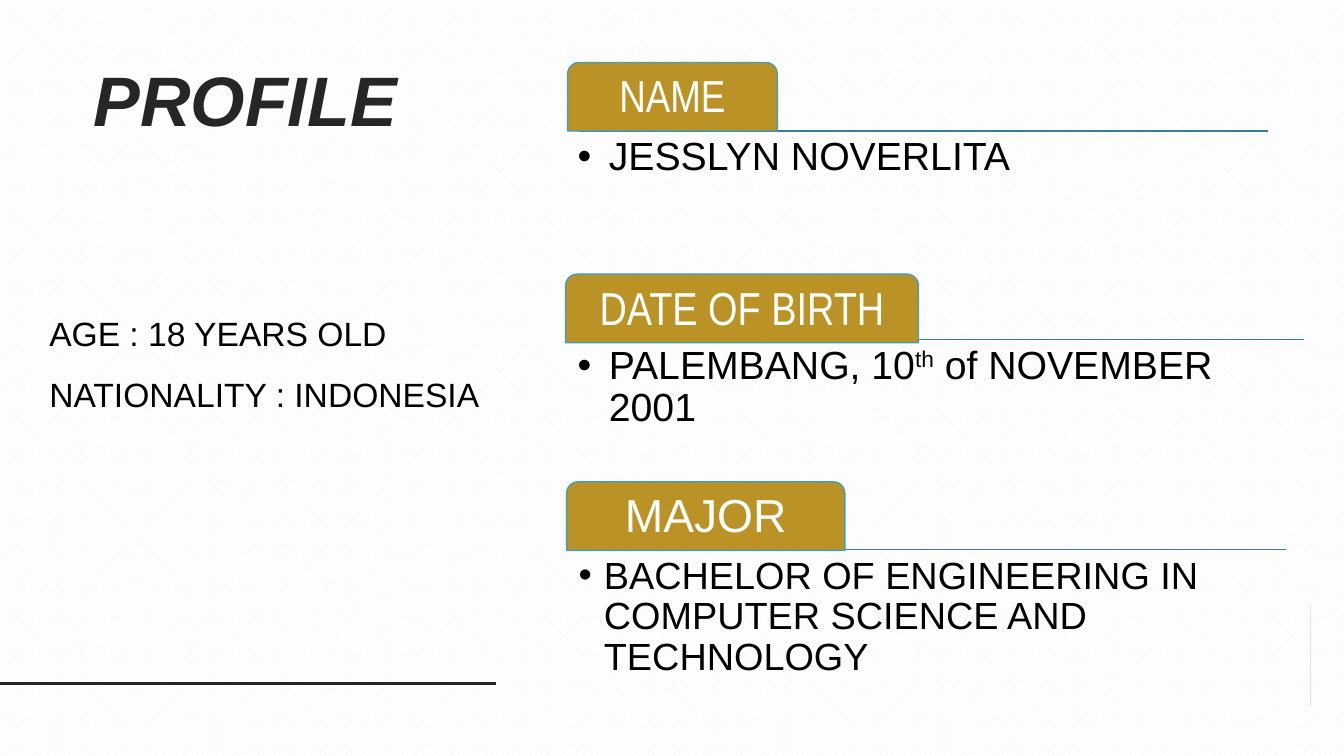
from math import cos, pi, sin
from pptx import Presentation
from pptx.dml.color import RGBColor
from pptx.enum.dml import MSO_PATTERN
from pptx.enum.shapes import MSO_CONNECTOR, MSO_SHAPE
from pptx.enum.text import MSO_ANCHOR, PP_ALIGN
from pptx.oxml.ns import qn
from pptx.util import Inches, Pt
from lxml.etree import SubElement

INK = {"dark": "262626", "gold": "BA9225", "edge": "439EB7", "rule": "367F93",
       "white": "FFFFFF", "black": "000000", "dots": "F5F5F5"}


def tint(name):
    return RGBColor.from_string(INK[name])


def write(frame, text, size=28, font="Arial", color="black", bold=False, space=0.9,
          align=PP_ALIGN.LEFT, anchor=MSO_ANCHOR.TOP, pad=(0.1, 0.05), indent=0):
    frame.word_wrap = True
    frame.vertical_anchor = anchor
    frame.margin_left = frame.margin_right = Inches(pad[0])
    frame.margin_top = frame.margin_bottom = Inches(pad[1])
    for i, line in enumerate(text.split("\n")):
        para = frame.paragraphs[0] if i == 0 else frame.add_paragraph()
        para.alignment = align
        para.line_spacing = space
        if indent:
            props = para._p.get_or_add_pPr()
            props.set("marL", str(Inches(indent)))
            props.set("indent", str(-Inches(indent)))
            SubElement(props, qn("a:buFont")).set("typeface", "Arial")
            SubElement(props, qn("a:buChar")).set("char", "•")
        for j, part in enumerate(line.split("^")):
            run = para.add_run()
            run.text = part
            run.font.size = Pt(size)
            run.font.name = font
            run.font.bold = run.font.italic = bold
            run.font.color.rgb = tint(color)
            if j % 2:
                run.font._element.set("baseline", "30000")


def rule(left, right, y, color, width):
    line = shapes.add_connector(MSO_CONNECTOR.STRAIGHT, Inches(left), Inches(y),
                                Inches(right), Inches(y))
    line.line.color.rgb = tint(color)
    line.line.width = Pt(width)
    SubElement(line._element.spPr, qn("a:effectLst"))


deck = Presentation()
deck.slide_width = Inches(13.33)
deck.slide_height = Inches(7.5)
slide = deck.slides.add_slide(deck.slide_layouts[6])
shapes = slide.shapes

back = slide.background.fill
back.patterned()
back.pattern = MSO_PATTERN.SOLID_DIAMOND
back.fore_color.rgb = tint("dots")
back.back_color.rgb = tint("white")

arc = [(13.33 - 0.45 * sin(pi * i / 48), 6.33 - 0.45 * cos(pi * i / 48)) for i in range(49)]
pen = shapes.build_freeform(*arc[0], scale=Inches(1))
pen.add_line_segments(arc[1:], close=True)
disc = pen.convert_to_shape()
disc.shadow.inherit = False
disc.fill.solid()
disc.fill.fore_color.rgb = tint("dark")
disc.line.fill.background()

rule(0, 4.92, 6.78, "dark", 2)

title = shapes.add_textbox(Inches(0.83), Inches(0.61), Inches(4.19), Inches(5.42))
write(title.text_frame, "PROFILE", size=50, color="dark", bold=True)

parts = [
    ("NAME", 32, "Arial Narrow", 5.63, 0.62, 2.08, 5.74, 12.58, 1.3,
     "JESSLYN NOVERLITA", 28, 0.06, 0.31),
    ("DATE OF BIRTH", 33, "Arial Narrow", 5.61, 2.72, 3.5, 6.1, 12.93, 3.37,
     "PALEMBANG, 10^th^ of NOVEMBER 2001", 28, 0.06, 0.31),
    ("MAJOR", 33, "Arial", 5.62, 4.78, 2.76, 5.91, 12.75, 5.45,
     "BACHELOR OF ENGINEERING IN COMPUTER SCIENCE AND TECHNOLOGY", 27, 0.07, 0.25),
]
for head, big, font, left, top, width, start, end, y, text, size, pad, indent in parts:
    rule(start, end, y, "rule", 1)
    tab = shapes.add_shape(MSO_SHAPE.ROUND_2_SAME_RECTANGLE, Inches(left), Inches(top),
                           Inches(width), Inches(0.68))
    tab.adjustments[0] = 0.167
    tab.adjustments[1] = 0
    tab.shadow.inherit = False
    tab.fill.solid()
    tab.fill.fore_color.rgb = tint("gold")
    tab.line.color.rgb = tint("edge")
    tab.line.width = Pt(1)
    write(tab.text_frame, head, size=big, font=font, color="white",
          align=PP_ALIGN.CENTER, anchor=MSO_ANCHOR.MIDDLE, pad=(0.07, 0.07))
    body = shapes.add_textbox(Inches(5.67), Inches(y), Inches(6.83), Inches(1.36))
    write(body.text_frame, text, size=size, pad=(pad, pad), indent=indent)

facts = shapes.add_textbox(Inches(0.39), Inches(2.86), Inches(4.48), Inches(1.23))
write(facts.text_frame, "AGE : 18 YEARS OLD\nNATIONALITY : INDONESIA", size=24, space=1.5)

deck.save("out.pptx")
